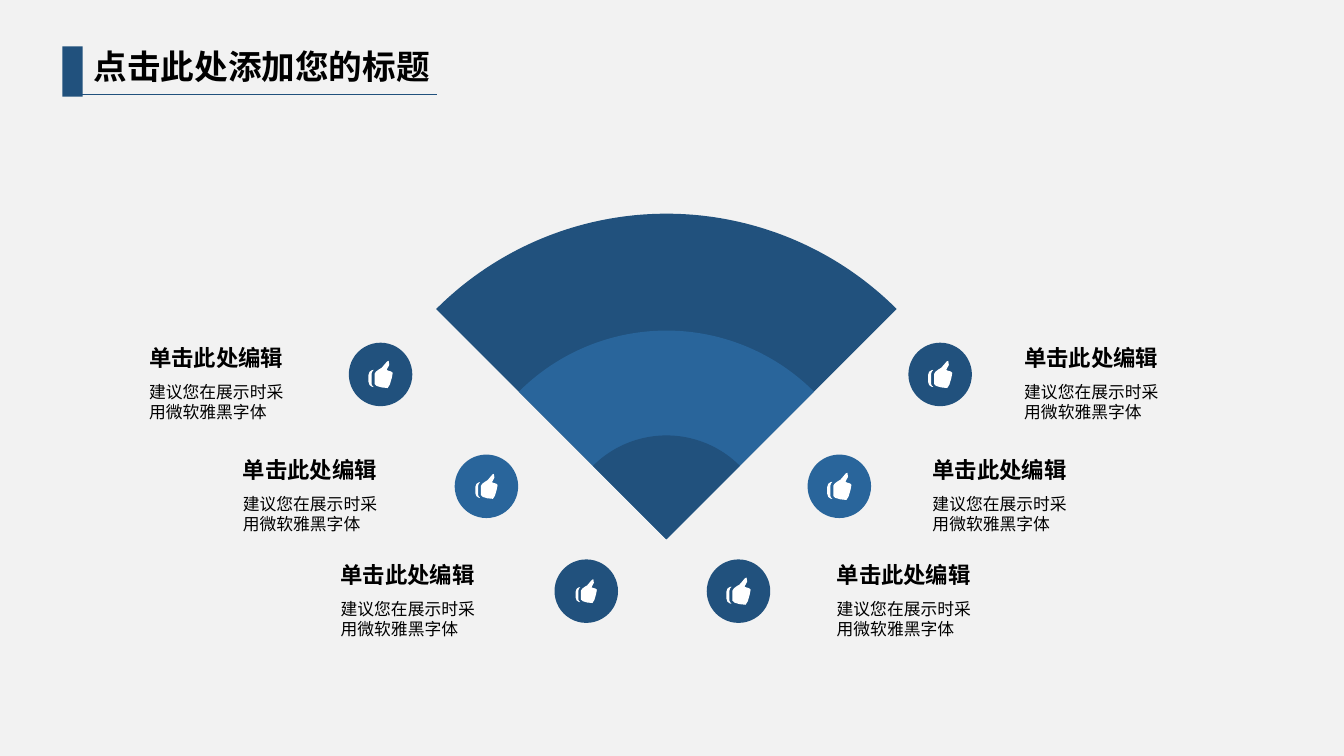
from dataclasses import dataclass
from math import sqrt

from lxml import etree
from pptx import Presentation
from pptx.dml.color import RGBColor
from pptx.enum.shapes import MSO_CONNECTOR, MSO_SHAPE
from pptx.oxml.ns import qn
from pptx.util import Pt

PX = 9144  # EMU per px, 100 px to the inch
OVAL, RECTANGLE = MSO_SHAPE.OVAL, MSO_SHAPE.RECTANGLE
PIE_WEDGE = MSO_SHAPE.PIE_WEDGE
STRAIGHT = MSO_CONNECTOR.STRAIGHT


@dataclass(frozen=True)
class TextStyle:
    size: int
    line: float
    bold: bool


@dataclass(frozen=True)
class Theme:
    background: RGBColor = RGBColor(0xF2, 0xF2, 0xF2)
    navy: RGBColor = RGBColor(0x21, 0x51, 0x7D)
    blue: RGBColor = RGBColor(0x29, 0x65, 0x9B)
    icon: RGBColor = RGBColor(0xFF, 0xFF, 0xFF)
    ink: RGBColor = RGBColor(0, 0, 0)
    font: str = "Noto Sans CJK SC"
    title: TextStyle = TextStyle(24, 29, True)
    heading: TextStyle = TextStyle(16, 16.8, True)
    body: TextStyle = TextStyle(12, 14.4, False)


THEME = Theme()

TITLE = "点击此处添加您的标题"
HEADING = "单击此处编辑"
ADVICE = "建议您在展示时采用微软雅黑字体"

# Circle left, text left, top, colour, icon width
ITEMS = [
    (346, 138, 340, THEME.navy, 24),
    (451, 231, 451, THEME.blue, 22),
    (550, 328, 555, THEME.navy, 21),
    (901, 1006, 340, THEME.navy, 24),
    (801, 915, 451, THEME.blue, 24),
    (701, 820, 555, THEME.navy, 24),
]
CIRCLE = 63
BANDS = [(323, THEME.navy), (207, THEME.blue), (103, THEME.navy)]

# Thumb outlines in a 24 by 27 grid: a start, then lines (one point)
# and Bezier curves (three points)
THUMB_WIDTH, THUMB_HEIGHT = 24, 27
CUFF = [
    (5, 9),
    [(4, 9), (0, 10), (0, 14)],
    [(0, 21)],
    [(0, 25), (4, 26), (5, 26)],
    [(6, 26), (3, 25), (3, 23)],
    [(3, 13)],
    [(3, 10), (6, 9), (5, 9)],
]
HAND = [
    (18, 9),
    [(17, 9), (23, 4), (20, 0)],
    [(19, -1), (16, 4), (13, 7)],
    [(11, 8), (6, 11), (6, 13)],
    [(6, 23)],
    [(6, 25), (13, 27), (19, 27)],
    [(21, 27), (24, 14), (24, 12)],
    [(24, 10), (18, 10), (18, 9)],
]


def paint(shape, color):
    shape.shadow.inherit = False
    shape.fill.solid()
    shape.fill.fore_color.rgb = color
    shape.line.fill.background()


def add_block(slide, preset, left, top, width, height, color):
    block = slide.shapes.add_shape(
        preset, *(round(length * PX) for length in (left, top, width, height)))
    paint(block, color)
    return block


def add_text(slide, text, left, top, width, height, style):
    box = slide.shapes.add_textbox(
        left * PX, top * PX, width * PX, height * PX)
    box.text_frame.word_wrap = True
    paragraph = box.text_frame.paragraphs[0]
    paragraph.text = text
    paragraph.line_spacing = Pt(style.line)
    font = paragraph.font
    font.name = THEME.font
    font.size = Pt(style.size)
    font.bold = style.bold
    font.color.rgb = THEME.ink
    run_properties = paragraph.runs[0].font
    run_properties.name = THEME.font
    east_asian = etree.SubElement(run_properties._element, qn("a:ea"))
    east_asian.set("typeface", THEME.font)


def flatten(path, steps=3):
    """Turn a start point with lines and Bezier curves into points."""
    points = [path[0]]
    for segment in path[1:]:
        if len(segment) == 1:
            points.append(segment[0])
            continue
        controls = [points[-1], *segment]
        for step in range(1, steps + 1):
            t = step / steps
            weights = ((1 - t) ** 3, 3 * t * (1 - t) ** 2,
                       3 * t ** 2 * (1 - t), t ** 3)
            points.append(tuple(
                sum(w * point[axis] for w, point in zip(weights, controls))
                for axis in (0, 1)))
    return points


def add_title(slide, left, top):
    add_block(slide, RECTANGLE, left, top, 20, 50, THEME.navy)
    rule_y = (top + 48) * PX
    rule = slide.shapes.add_connector(
        STRAIGHT, (left + 14) * PX, rule_y, (left + 371) * PX, rule_y)
    rule.line.color.rgb = THEME.navy
    rule.line.width = Pt(0.5)
    etree.SubElement(rule._element.spPr, qn("a:effectLst"))
    add_text(slide, TITLE, left + 21, top - 6, 392, 50, THEME.title)


def add_fan(slide, apex_x, apex_y):
    """Stack quarter discs, each turned to stand on the shared apex."""
    for radius, color in BANDS:
        center_y = apex_y - radius / sqrt(2)
        quarter = add_block(slide, PIE_WEDGE, apex_x - radius / 2,
                            center_y - radius / 2, radius, radius, color)
        quarter.rotation = 45


def add_thumb(slide, left, top, width):
    zoom = width / THUMB_WIDTH
    cuff, hand = (
        [(round((left + x * zoom) * PX), round((top + y * zoom) * PX))
         for x, y in flatten(path)]
        for path in (CUFF, HAND))
    builder = slide.shapes.build_freeform(*cuff[0], scale=1.0)
    builder.add_line_segments(cuff[1:], close=True)
    builder.move_to(*hand[0])
    builder.add_line_segments(hand[1:], close=True)
    paint(builder.convert_to_shape(), THEME.icon)


def add_item(slide, circle_left, text_left, top, color, icon_width):
    add_block(slide, OVAL, circle_left, top, CIRCLE, CIRCLE, color)
    icon_height = icon_width * THUMB_HEIGHT / THUMB_WIDTH
    add_thumb(slide, circle_left + (CIRCLE - icon_width) / 2,
              top + (CIRCLE - icon_height) / 2, icon_width)
    add_text(slide, ADVICE, text_left, top + 34, 162, 50, THEME.body)
    add_text(slide, HEADING, text_left, top, 162, 34, THEME.heading)


def main():
    deck = Presentation()
    deck.slide_width, deck.slide_height = 1333 * PX, 750 * PX
    slide = deck.slides.add_slide(deck.slide_layouts[6])
    slide.background.fill.solid()
    slide.background.fill.fore_color.rgb = THEME.background
    add_fan(slide, 661, 535)
    for item in ITEMS:
        add_item(slide, *item)
    add_title(slide, 62, 46)
    deck.save("out.pptx")


if __name__ == "__main__":
    main()
